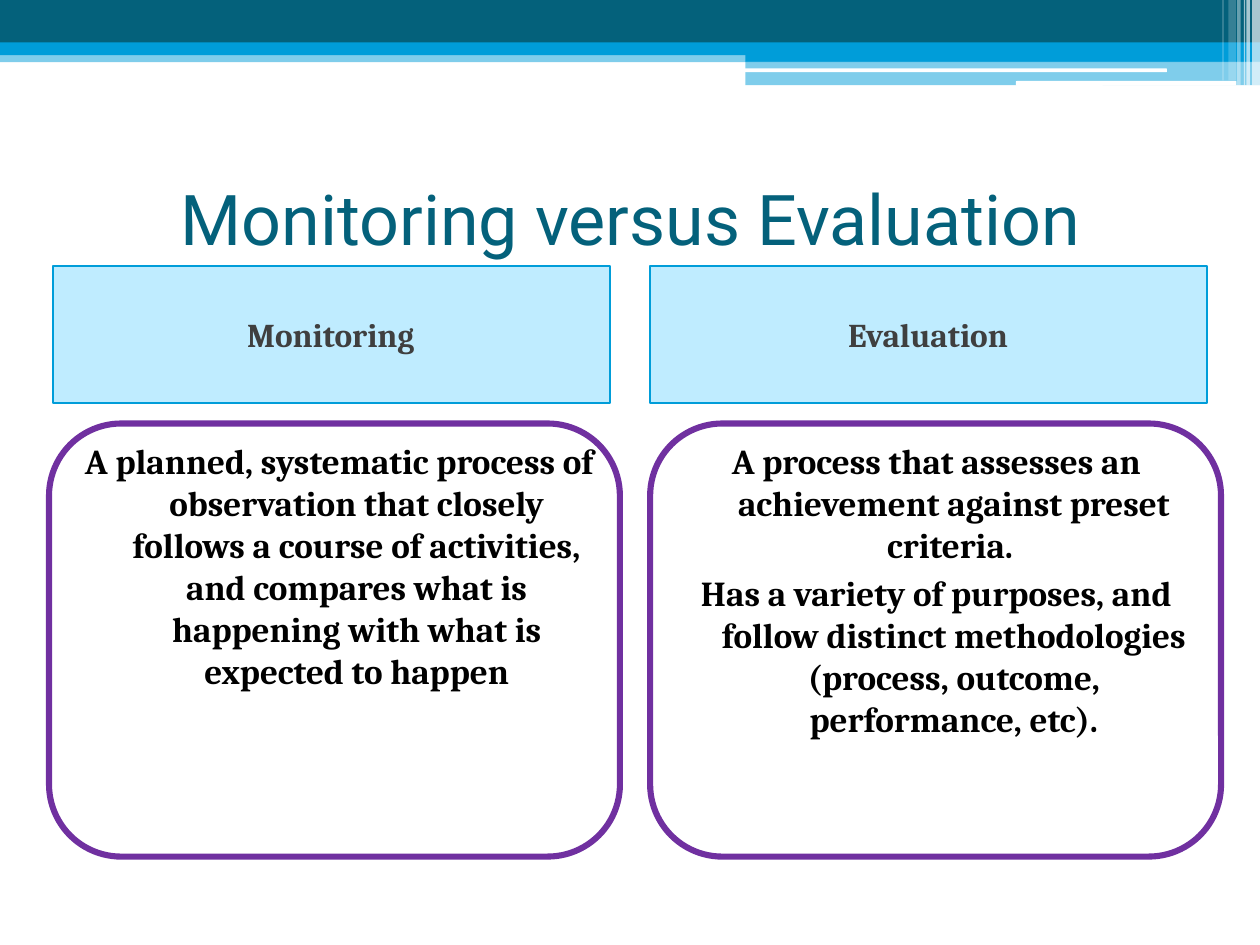
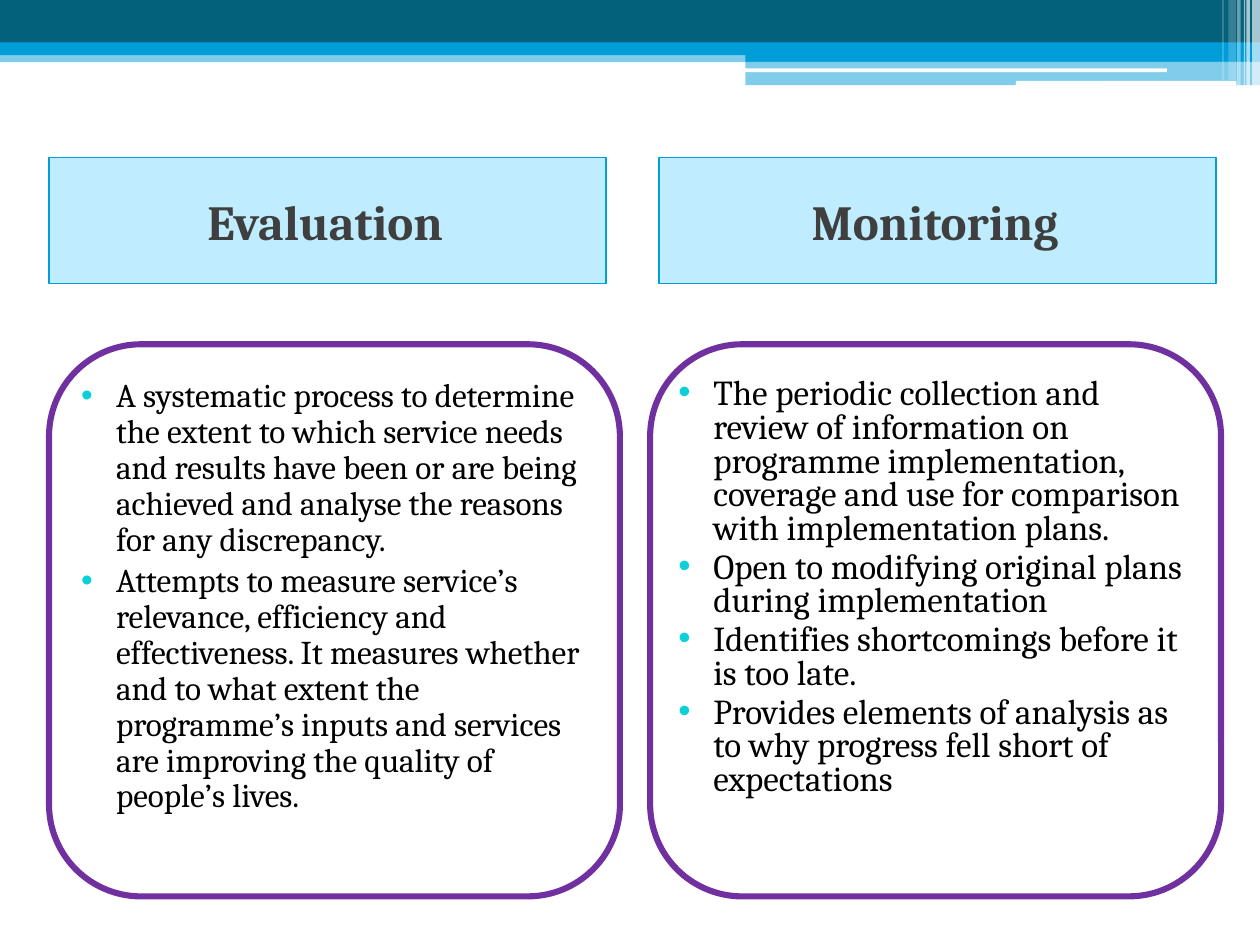
from dataclasses import dataclass

from lxml import etree
from pptx import Presentation
from pptx.dml.color import RGBColor
from pptx.enum.shapes import MSO_SHAPE
from pptx.enum.text import MSO_ANCHOR, PP_ALIGN
from pptx.oxml.ns import qn
from pptx.util import Pt

RECT = MSO_SHAPE.RECTANGLE
ROUNDED = MSO_SHAPE.ROUNDED_RECTANGLE
CENTER, LEFT = PP_ALIGN.CENTER, PP_ALIGN.LEFT
MIDDLE, TOP = MSO_ANCHOR.MIDDLE, MSO_ANCHOR.TOP

TEAL, BLUE, WHITE, BLACK = "04617B", "009DD9", "FFFFFF", "000000"
HEADING_FILL, HEADING_INK = "00B5FF", "3F3F3F"
PANEL_LINE, BULLET_COLOR = "7030A0", "0BD0D9"
TITLE_FONT, BODY_FONT = "Roboto", "Cambria"

SLIDE_WIDTH, SLIDE_HEIGHT = 720, 540
HEADING_WIDTH, PANEL_WIDTH = 318.25, 326.25
PANEL_LEFTS = (28, 371.5)
BODY_LEFTS = (30.25, 371.5)


@dataclass(frozen=True)
class Box:
    left: float
    top: float
    width: float
    height: float


@dataclass(frozen=True)
class Band:
    box: Box
    color: str
    opacity: int = 100
    geometry: MSO_SHAPE = RECT


@dataclass(frozen=True)
class TextStyle:
    size: float
    color: str = BLACK
    font: str = BODY_FONT
    bold: bool = False
    align: PP_ALIGN = CENTER
    anchor: MSO_ANCHOR = TOP
    margin: float = 0
    indent: float = 0
    line_spacing: float = 1.0
    bulleted: bool = False


@dataclass(frozen=True)
class Column:
    heading: str
    points: tuple[str, ...]
    style: TextStyle


@dataclass(frozen=True)
class Comparison:
    columns: tuple[Column, Column]
    heading_lefts: tuple[float, float]
    heading_top: float
    heading_height: float
    heading_size: float
    body_top: float
    body_height: float
    panel_top: float
    panel_height: float
    title: str = ""


HEADER_BANDS = (
    Band(Box(0, 28.75, SLIDE_WIDTH, 6.75), BLUE, 50),
    Band(Box(0, 0, SLIDE_WIDTH, 24.5), TEAL),
    Band(Box(0, 24.25, SLIDE_WIDTH, 7.25), BLUE),
    Band(Box(426, 28, 294, 7.25), BLUE),
    Band(Box(426, 34.75, 294, 14), BLUE, 50),
    Band(Box(425.5, 39, 241.25, 2.25), WHITE, geometry=ROUNDED),
    Band(Box(580.5, 46.25, 126, 2.75), WHITE, geometry=ROUNDED),
    Band(Box(715.5, 0, 4.5, 49), WHITE, 65),
    Band(Box(712.25, 0, 2, 49), WHITE, 65),
    Band(Box(710.75, 0, 0.75, 49), WHITE, 60),
    Band(Box(707, 0, 2, 49), WHITE, 40),
    Band(Box(702, 0, 4.25, 46), WHITE, 20),
    Band(Box(698.5, 0, 0.75, 46), WHITE, 30),
)

TITLE_BOX = Box(30.25, 73.5, 660, 101)
TITLE_STYLE = TextStyle(40, TEAL, TITLE_FONT, anchor=MIDDLE)
DEFINITION_STYLE = TextStyle(20, bold=True, margin=29, indent=-20)
EVALUATION_STYLE = TextStyle(19, align=LEFT, margin=29, indent=-20,
                             line_spacing=0.9, bulleted=True)
MONITORING_STYLE = TextStyle(20, align=LEFT, margin=29, indent=-20,
                             line_spacing=0.8, bulleted=True)

COMPARISONS = (
    Comparison(
        title="Monitoring versus Evaluation",
        columns=(
            Column("Monitoring ", (
                "A planned, systematic process of observation that closely "
                "follows a course of activities, and compares what is "
                "happening with what is expected to happen",
            ), DEFINITION_STYLE),
            Column("Evaluation ", (
                "A process that assesses an achievement against preset criteria. ",
                "Has a variety of purposes, and follow distinct methodologies "
                "(process, outcome, performance, etc).",
            ), DEFINITION_STYLE),
        ),
        heading_lefts=BODY_LEFTS, heading_top=152, heading_height=78.5,
        heading_size=19, body_top=247.75, body_height=271.5,
        panel_top=242, panel_height=247.5,
    ),
    Comparison(
        columns=(
            Column("Evaluation ", (
                "A systematic process to determine the extent to which service "
                "needs and results have been or are being achieved and analyse "
                "the reasons for any discrepancy.",
                "Attempts to measure service’s relevance, efficiency and "
                "effectiveness. It measures whether and to what extent the "
                "programme’s inputs and services are improving the quality of "
                "people’s lives.",
            ), EVALUATION_STYLE),
            Column("Monitoring ", (
                "The periodic collection and review of information on programme "
                "implementation, coverage and use for comparison with "
                "implementation plans.",
                "Open to modifying original plans during implementation",
                "Identifies shortcomings before it is too late.",
                "Provides elements of analysis as to why progress fell short of "
                "expectations",
            ), MONITORING_STYLE),
        ),
        heading_lefts=(28, 376.5), heading_top=90, heading_height=72,
        heading_size=28, body_top=213, body_height=306,
        panel_top=196.75, panel_height=315.5,
    ),
)


def rgb(color: str) -> RGBColor:
    return RGBColor.from_string(color)


def place(box: Box) -> tuple[Pt, Pt, Pt, Pt]:
    return Pt(box.left), Pt(box.top), Pt(box.width), Pt(box.height)


def draw_shape(slide, box: Box, geometry=RECT, fill: str = "",
               opacity: int = 100, line: str = "", line_width: float = 1):
    """Draw a preset shape; an empty colour means no fill or no line."""
    shape = slide.shapes.add_shape(geometry, *place(box))
    shape.shadow.inherit = False
    if fill:
        shape.fill.solid()
        shape.fill.fore_color.rgb = rgb(fill)
        if opacity < 100:
            color = shape.element.spPr.find(qn("a:solidFill"))[0]
            etree.SubElement(color, qn("a:alpha"), val=str(opacity * 1000))
    else:
        shape.fill.background()
    if line:
        shape.line.color.rgb = rgb(line)
        shape.line.width = Pt(line_width)
    else:
        shape.line.fill.background()
    return shape


def add_bullet(properties) -> None:
    bullet_color = etree.SubElement(properties, qn("a:buClr"))
    etree.SubElement(bullet_color, qn("a:srgbClr"), val=BULLET_COLOR)
    etree.SubElement(properties, qn("a:buFont"), typeface="Arial")
    etree.SubElement(properties, qn("a:buChar"), char="•")


def write(shape, paragraphs: tuple[str, ...], style: TextStyle) -> None:
    frame = shape.text_frame
    frame.word_wrap = True
    frame.vertical_anchor = style.anchor
    frame.text = "\n".join(paragraphs)
    for number, paragraph in enumerate(frame.paragraphs):
        properties = paragraph._p.get_or_add_pPr()
        properties.set("marL", str(Pt(style.margin)))
        properties.set("indent", str(Pt(style.indent)))
        if style.bulleted:
            add_bullet(properties)
        paragraph.alignment = style.align
        paragraph.line_spacing = style.line_spacing
        paragraph.space_before = Pt(3 if number else 0)
        for run in paragraph.runs:
            run.font.name = style.font
            run.font.size = Pt(style.size)
            run.font.bold = style.bold
            run.font.color.rgb = rgb(style.color)


def draw_text(slide, box: Box, paragraphs: tuple[str, ...],
              style: TextStyle) -> None:
    write(slide.shapes.add_textbox(*place(box)), paragraphs, style)


def draw_header(slide) -> None:
    for band in HEADER_BANDS:
        draw_shape(slide, band.box, band.geometry, band.color, band.opacity)


def draw_comparison(slide, comparison: Comparison) -> None:
    draw_header(slide)
    if comparison.title:
        draw_text(slide, TITLE_BOX, (comparison.title,), TITLE_STYLE)
    heading_style = TextStyle(comparison.heading_size, HEADING_INK, bold=True,
                              anchor=MIDDLE, margin=3.5)
    for column, heading_left, body_left, panel_left in zip(
            comparison.columns, comparison.heading_lefts, BODY_LEFTS, PANEL_LEFTS):
        heading_box = Box(heading_left, comparison.heading_top,
                          HEADING_WIDTH, comparison.heading_height)
        heading = draw_shape(slide, heading_box, fill=HEADING_FILL,
                             opacity=25, line=BLUE)
        write(heading, (column.heading,), heading_style)
        body_box = Box(body_left, comparison.body_top,
                       HEADING_WIDTH, comparison.body_height)
        draw_text(slide, body_box, column.points, column.style)
        panel_box = Box(panel_left, comparison.panel_top,
                        PANEL_WIDTH, comparison.panel_height)
        draw_shape(slide, panel_box, ROUNDED, line=PANEL_LINE, line_width=3.5)


def main() -> None:
    deck = Presentation()
    deck.slide_width, deck.slide_height = Pt(SLIDE_WIDTH), Pt(SLIDE_HEIGHT)
    blank_layout = deck.slide_layouts[6]
    for comparison in COMPARISONS:
        draw_comparison(deck.slides.add_slide(blank_layout), comparison)
    deck.save("out.pptx")


if __name__ == "__main__":
    main()
